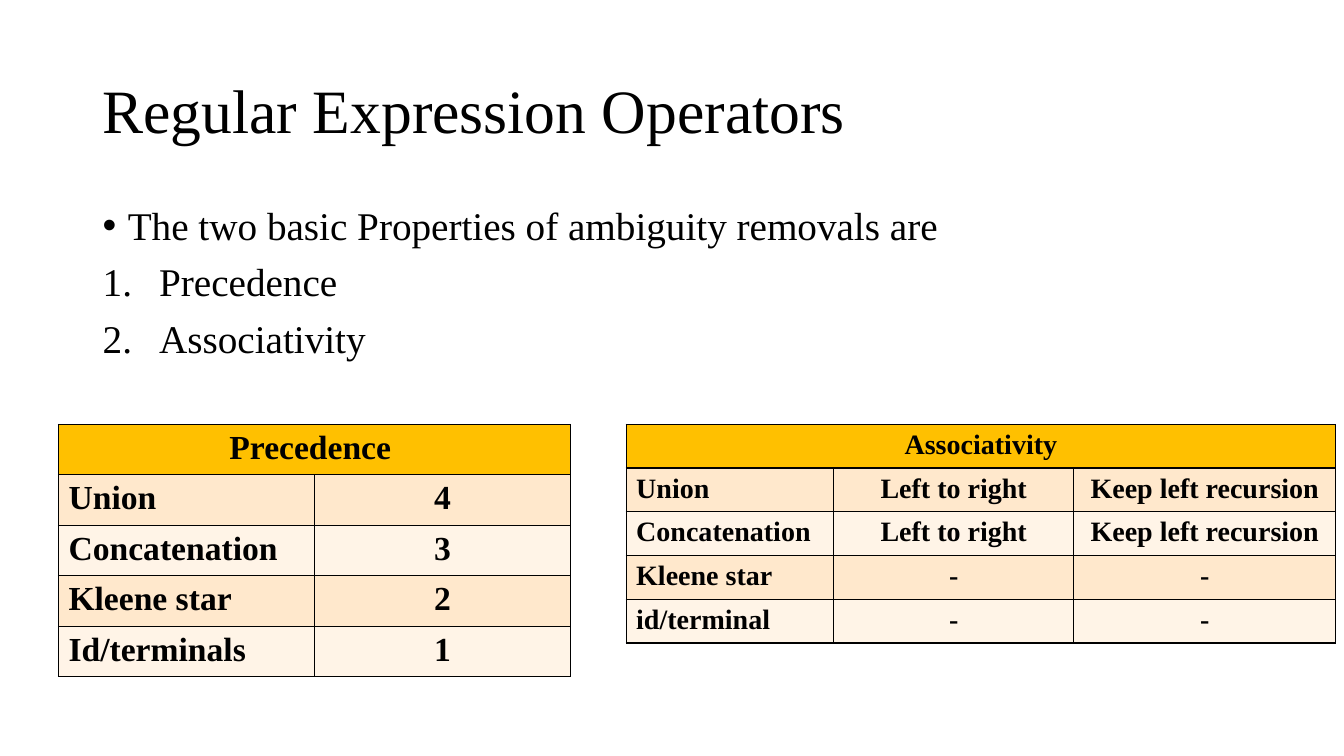
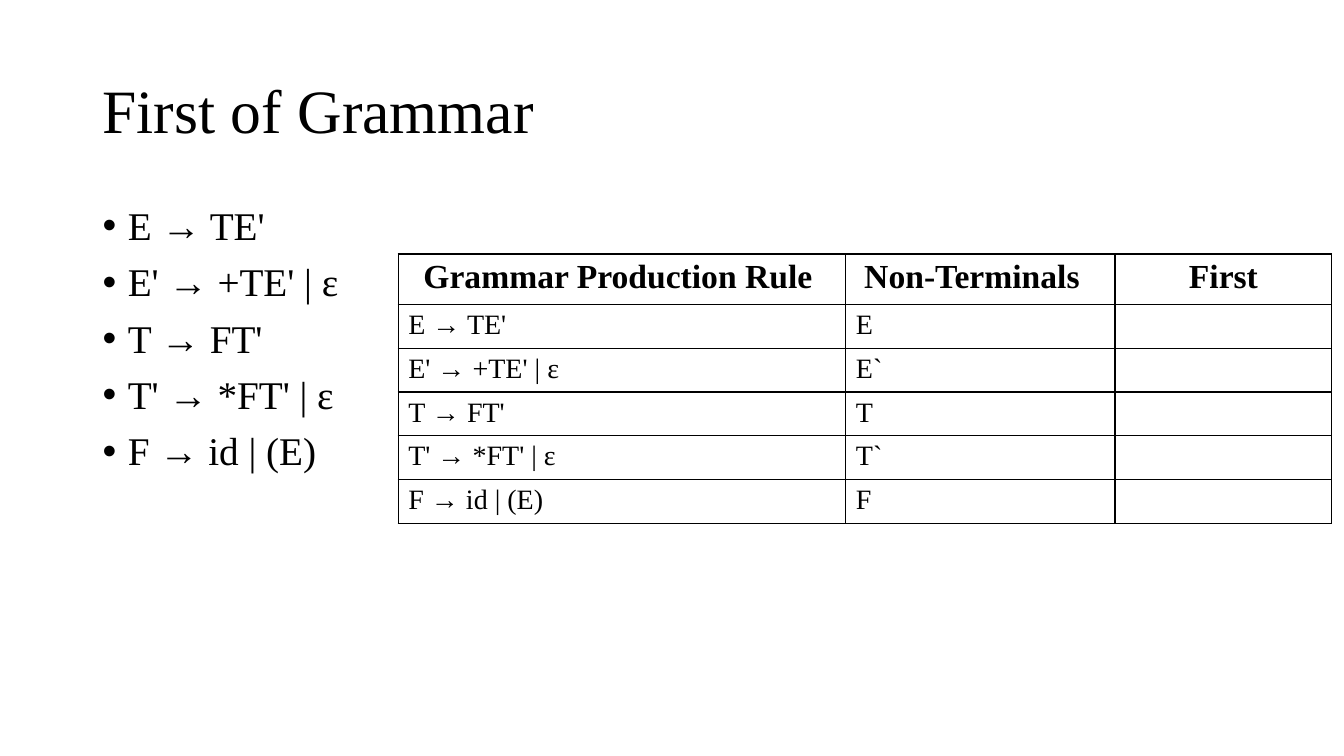
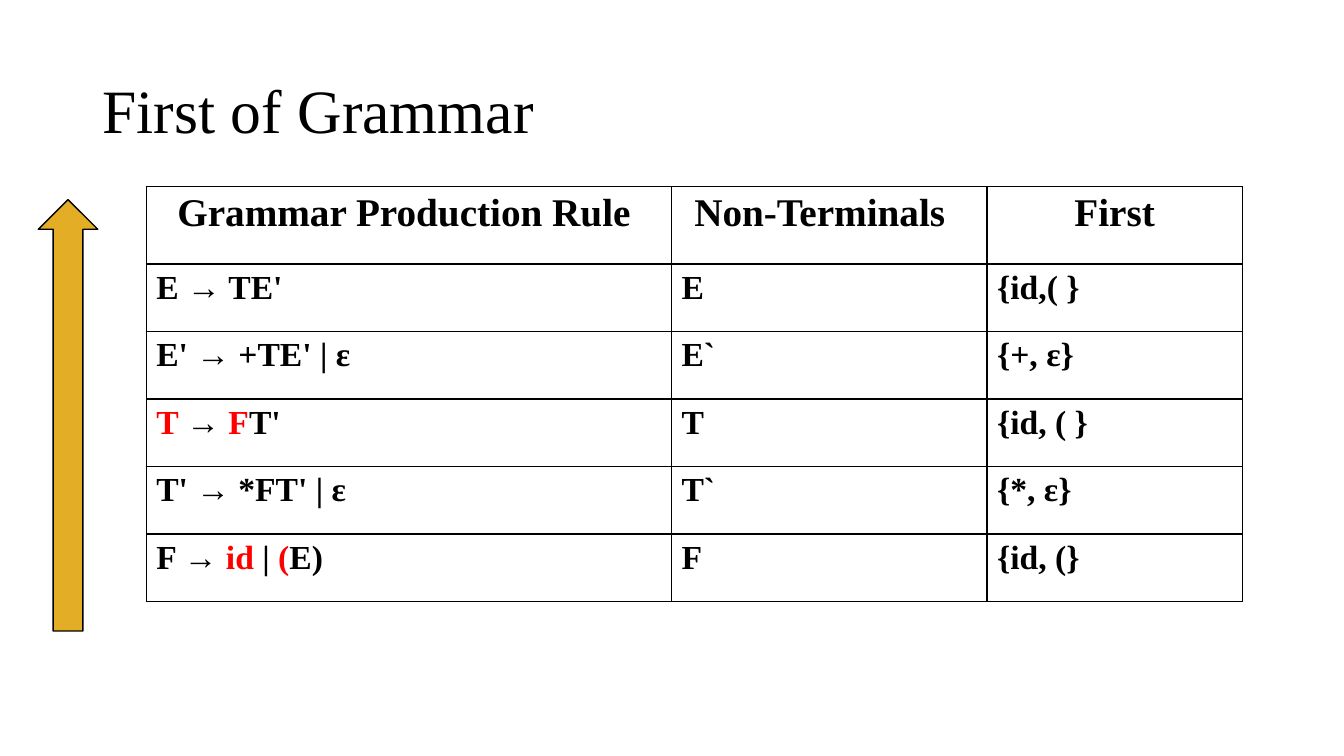
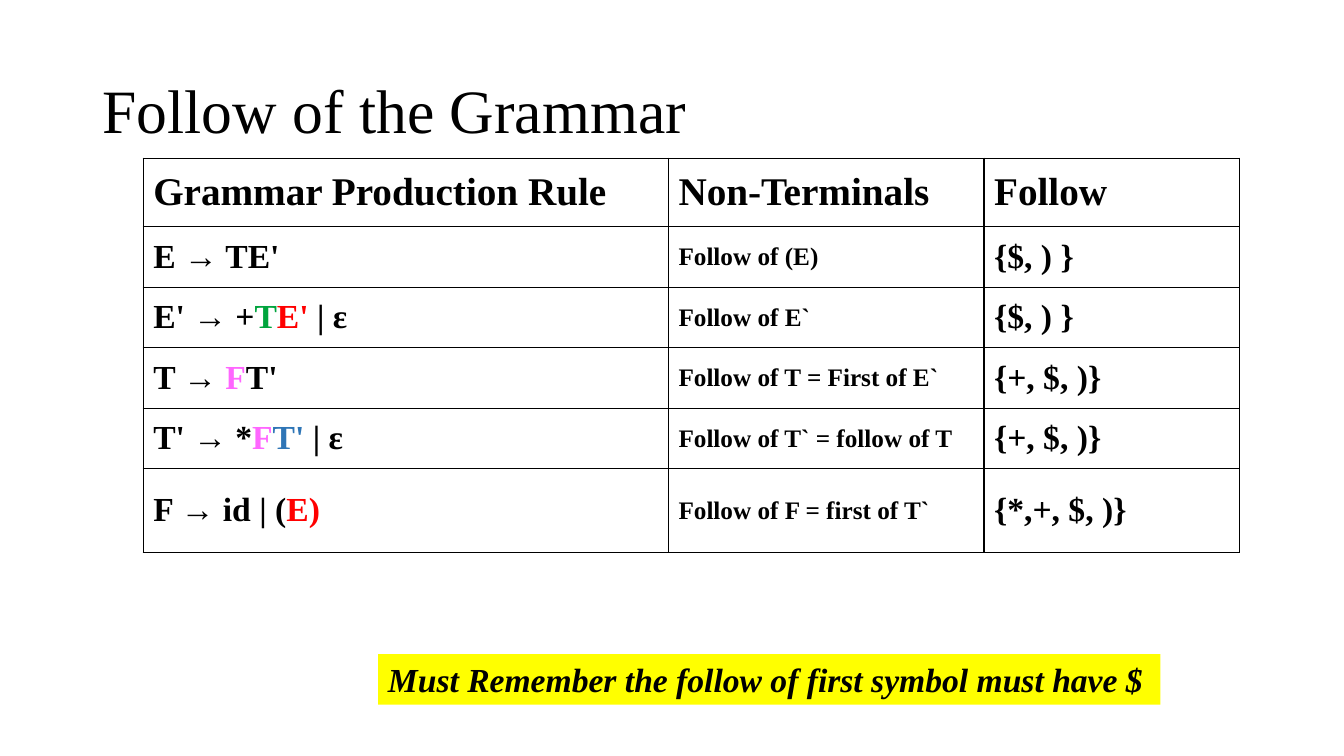
from dataclasses import dataclass

from lxml import etree
from pptx import Presentation
from pptx.dml.color import RGBColor
from pptx.enum.shapes import MSO_SHAPE
from pptx.enum.text import MSO_ANCHOR, PP_ALIGN
from pptx.oxml.ns import qn
from pptx.util import Inches, Pt

LEFT, CENTER = PP_ALIGN.LEFT, PP_ALIGN.CENTER
TOP, MIDDLE = MSO_ANCHOR.TOP, MSO_ANCHOR.MIDDLE
UP_ARROW, RECTANGLE = MSO_SHAPE.UP_ARROW, MSO_SHAPE.RECTANGLE
BLANK_LAYOUT = 6


@dataclass(frozen=True)
class Theme:
    font: str = "Times New Roman"
    title_size: int = 44
    large: int = 28
    medium: int = 24
    small: int = 20
    caption: int = 18
    black: str = "000000"
    white: str = "FFFFFF"
    red: str = "FF0000"
    green: str = "00A43D"
    pink: str = "FF66FF"
    blue: str = "2E75B6"
    header: str = "FFC000"
    band_dark: str = "FFE8CC"
    band_light: str = "FFF4E7"
    arrow: str = "E3AD25"
    note: str = "FFFF00"
    line_width: int = 1
    cell_margin: float = 0.1


THEME = Theme()
PLAIN_FILLS = (THEME.white,) * 3
BANDED_FILLS = (THEME.header, THEME.band_dark, THEME.band_light)

TITLE_BOX = (0.92, 0.4, 11.5, 1.45)
BODY_BOX = (0.92, 2, 11.5, 4.76)
WIDE_COLUMNS = (5.21, 3.13, 2.53)
PRODUCTIONS = ("E → TE'", "E' → +TE' | ε", "T → FT'", "T' → *FT' | ε", "F → id | (E)")
NON_TERMINALS = ("E", "E`", "T", "T`", "F")
GRAMMAR_HEADER = ("Grammar Production Rule ", "Non-Terminals", "First")


@dataclass(frozen=True)
class TableStyle:
    """Look of a table: header, then one size and alignment per column."""
    header_size: int
    sizes: tuple
    header_align: PP_ALIGN = CENTER
    aligns: tuple = (LEFT, LEFT, LEFT)
    anchor: MSO_ANCHOR = TOP
    bold: bool = True
    fills: tuple = PLAIN_FILLS


def color(value):
    return RGBColor.from_string(value)


def write(paragraph, content, size, bold=False, italic=False):
    """Add a plain string, or a sequence of (text, colour) runs."""
    runs = [(content, THEME.black)] if isinstance(content, str) else content
    for text, run_color in runs:
        run = paragraph.add_run()
        run.text = text
        run.font.name = THEME.font
        run.font.size = Pt(size)
        run.font.bold = bold
        run.font.italic = italic
        run.font.color.rgb = color(run_color)


def add_text_frame(slide, box, anchor=TOP):
    frame = slide.shapes.add_textbox(*map(Inches, box)).text_frame
    frame.word_wrap = True
    frame.vertical_anchor = anchor
    return frame


def add_titled_slide(presentation, title):
    slide = presentation.slides.add_slide(presentation.slide_layouts[BLANK_LAYOUT])
    paragraph = add_text_frame(slide, TITLE_BOX, MIDDLE).paragraphs[0]
    paragraph.line_spacing = 0.9
    write(paragraph, title, THEME.title_size)
    return slide


def set_bullet(paragraph, numbered):
    indent = Inches(0.56 if numbered else 0.25)
    properties = paragraph._p.get_or_add_pPr()
    properties.set("marL", str(indent))
    properties.set("indent", str(-indent))
    etree.SubElement(properties, qn("a:buFont"), typeface=THEME.font if numbered else "Arial")
    if numbered:
        etree.SubElement(properties, qn("a:buAutoNum"), type="arabicPeriod")
    else:
        etree.SubElement(properties, qn("a:buChar"), char="•")


def add_list(slide, box, bullets, numbered=()):
    frame = add_text_frame(slide, box)
    items = [(text, False) for text in bullets] + [(text, True) for text in numbered]
    for index, (text, is_numbered) in enumerate(items):
        paragraph = frame.add_paragraph() if index else frame.paragraphs[0]
        set_bullet(paragraph, is_numbered)
        paragraph.line_spacing = 0.9
        if index:
            paragraph.space_before = Pt(10)
        write(paragraph, text, THEME.large)


def set_borders(cell):
    properties = cell._tc.get_or_add_tcPr()
    for position, side in enumerate(("lnL", "lnR", "lnT", "lnB")):
        line = etree.Element(qn(f"a:{side}"), w=str(Pt(THEME.line_width)))
        fill = etree.SubElement(line, qn("a:solidFill"))
        etree.SubElement(fill, qn("a:srgbClr"), val=THEME.black)
        properties.insert(position, line)


def fill_cell(cell, content, size, align, style, fill):
    cell.fill.solid()
    cell.fill.fore_color.rgb = color(fill)
    set_borders(cell)
    cell.vertical_anchor = style.anchor
    paragraph = cell.text_frame.paragraphs[0]
    paragraph.alignment = align
    if content:
        write(paragraph, content, size, style.bold)


def add_table(slide, corner, column_widths, row_heights, rows, style):
    """Place a table at its corner; a one-cell header spans every column."""
    size = (sum(column_widths), sum(row_heights))
    frame = slide.shapes.add_table(len(rows), len(column_widths), *map(Inches, corner + size))
    table = frame.table
    for column, width in zip(table.columns, column_widths):
        column.width = Inches(width)
    for row, height in zip(table.rows, row_heights):
        row.height = Inches(height)
    last_column = len(column_widths) - 1
    if len(rows[0]) == 1:
        table.cell(0, 0).merge(table.cell(0, last_column))
    for row_index, contents in enumerate(rows):
        is_header = row_index == 0
        fill = style.fills[0 if is_header else 2 - row_index % 2]
        for column in range(last_column + 1):
            content = contents[column] if column < len(contents) else ""
            text_size = style.header_size if is_header else style.sizes[column]
            align = style.header_align if is_header else style.aligns[column]
            fill_cell(table.cell(row_index, column), content, text_size, align, style, fill)
    return table


def shift_header_left(table, column, amount):
    """Widen the right margin of a centred heading."""
    table.cell(0, column).margin_right = Inches(THEME.cell_margin + amount)


def add_filled_shape(slide, kind, box, fill, outlined=False):
    shape = slide.shapes.add_shape(kind, *map(Inches, box))
    shape.shadow.inherit = False
    shape.fill.solid()
    shape.fill.fore_color.rgb = color(fill)
    if outlined:
        shape.line.color.rgb = color(THEME.black)
        shape.line.width = Pt(THEME.line_width)
    else:
        shape.line.fill.background()
    return shape


def add_note(slide, box, text):
    frame = add_filled_shape(slide, RECTANGLE, box, THEME.note).text_frame
    frame.word_wrap = True
    frame.vertical_anchor = TOP
    paragraph = frame.paragraphs[0]
    paragraph.alignment = LEFT
    write(paragraph, text, THEME.medium, bold=True, italic=True)


def build_operators_slide(presentation):
    slide = add_titled_slide(presentation, "Regular Expression Operators")
    add_list(slide, BODY_BOX, ["The two basic Properties of ambiguity removals are"],
             ["Precedence", "Associativity"])
    precedence = [("Precedence ",), ("Union", "4"), ("Concatenation", "3"),
                  ("Kleene star", "2"), ("Id/terminals", "1")]
    left_recursive = ("Left to right", "Keep left recursion")
    associativity = [("Associativity",), ("Union", *left_recursive),
                     ("Concatenation", *left_recursive),
                     ("Kleene star", "-", "-"), ("id/terminal", "-", "-")]
    tables = (
        (0.58, (2.54, 2.54), 0.47, precedence, THEME.medium),
        (6.21, (2.06, 2.38, 2.6), 0.41, associativity, THEME.small),
    )
    for left, widths, row_height, rows, size in tables:
        style = TableStyle(size, (size,) * 3, aligns=(LEFT, CENTER, CENTER), fills=BANDED_FILLS)
        add_table(slide, (left, 4.21), widths, [row_height] * len(rows), rows, style)


def build_first_exercise_slide(presentation):
    slide = add_titled_slide(presentation, "First of Grammar")
    add_list(slide, BODY_BOX, PRODUCTIONS)
    rows = [GRAMMAR_HEADER, *zip(PRODUCTIONS, NON_TERMINALS, [""] * len(PRODUCTIONS))]
    style = TableStyle(THEME.medium, (THEME.small,) * 3, bold=False)
    table = add_table(slide, (3.95, 2.52), (4.44, 2.67, 2.15), [0.47] + [0.41] * 5, rows, style)
    shift_header_left(table, 1, 0.17)
    for cell in table.rows[0].cells:
        cell.text_frame.paragraphs[0].runs[0].font.bold = True


def build_first_answer_slide(presentation):
    slide = add_titled_slide(presentation, "First of Grammar")
    black, red = THEME.black, THEME.red
    productions = (
        *PRODUCTIONS[:2],
        (("T ", red), ("→ ", black), ("F", red), ("T'", black)),
        PRODUCTIONS[3],
        (("F → ", black), ("id ", red), ("| ", black), ("(", red), ("E)", black)),
    )
    first_sets = ("{id,( }", "{+, ε}", "{id, ( }", "{*, ε}", "{id, (}")
    rows = [GRAMMAR_HEADER, *zip(productions, NON_TERMINALS, first_sets)]
    style = TableStyle(THEME.large, (THEME.medium,) * 3)
    table = add_table(slide, (1.45, 1.85), WIDE_COLUMNS, [0.77] + [0.67] * 5, rows, style)
    shift_header_left(table, 1, 0.19)
    add_filled_shape(slide, UP_ARROW, (0.38, 1.98, 0.59, 4.28), THEME.arrow, outlined=True)


def build_follow_slide(presentation):
    slide = add_titled_slide(presentation, "Follow of the Grammar")
    black, red, pink = THEME.black, THEME.red, THEME.pink
    rows = [
        ("Grammar Production Rule", "Non-Terminals", "Follow"),
        (PRODUCTIONS[0], "Follow of (E)", "{$, ) }"),
        ((("E' → +", black), ("T", THEME.green), ("E' ", red), ("| ε", black)),
         "Follow of E`", "{$, ) }"),
        ((("T → ", black), ("F", pink), ("T'", black)),
         "Follow of T = First of E`", "{+, $, )}"),
        ((("T' → *", black), ("F", pink), ("T' ", THEME.blue), ("| ε", black)),
         "Follow of T` = follow of T", "{+, $, )}"),
        ((("F → id | (", black), ("E)", red)),
         "Follow of F = first of T`", "{*,+, $, )}"),
    ]
    style = TableStyle(THEME.large, (THEME.medium, THEME.caption, THEME.medium),
                       header_align=LEFT, anchor=MIDDLE)
    add_table(slide, (1.42, 1.57), WIDE_COLUMNS, [0.68] + [0.6] * 4 + [0.83], rows, style)
    add_note(slide, (3.75, 6.49, 7.76, 0.5),
             "Must Remember the follow of first symbol must have $")


def main():
    presentation = Presentation()
    presentation.slide_width = Inches(13.33)
    presentation.slide_height = Inches(7.5)
    build_operators_slide(presentation)
    build_first_exercise_slide(presentation)
    build_first_answer_slide(presentation)
    build_follow_slide(presentation)
    presentation.save("out.pptx")


if __name__ == "__main__":
    main()
